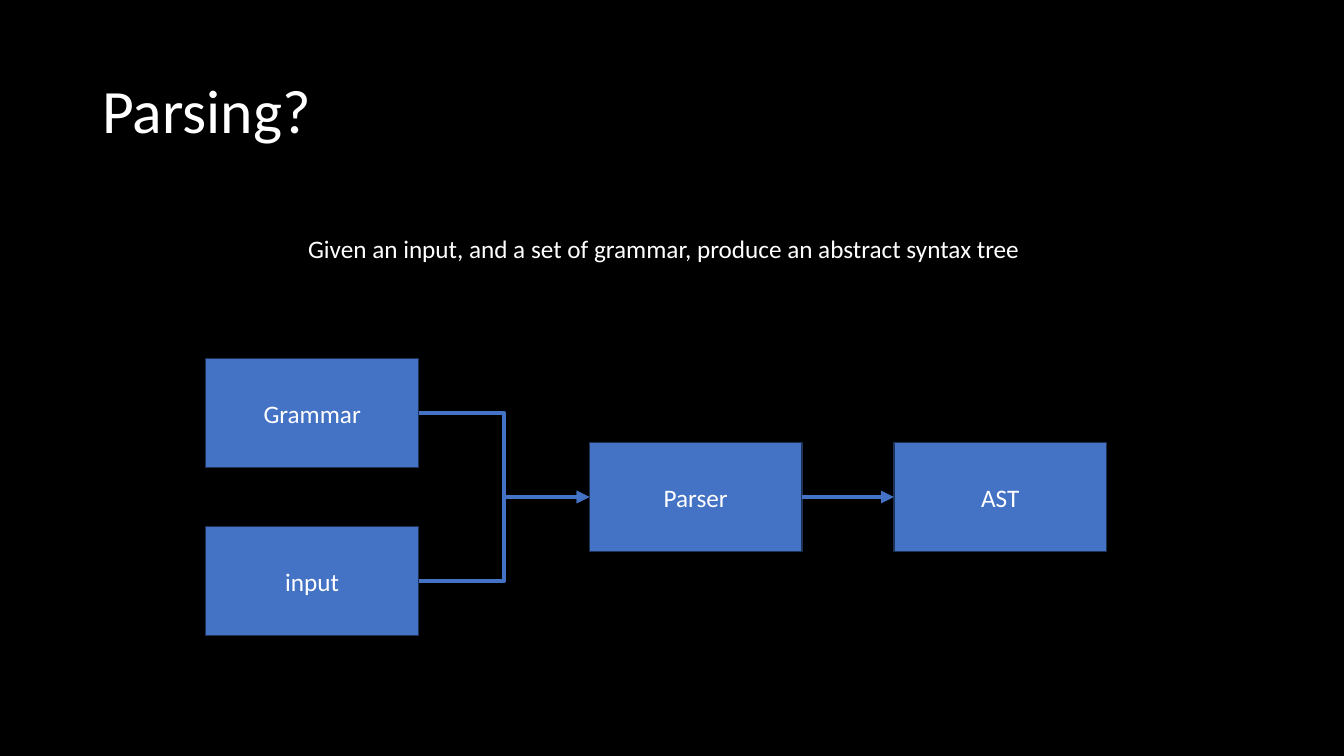
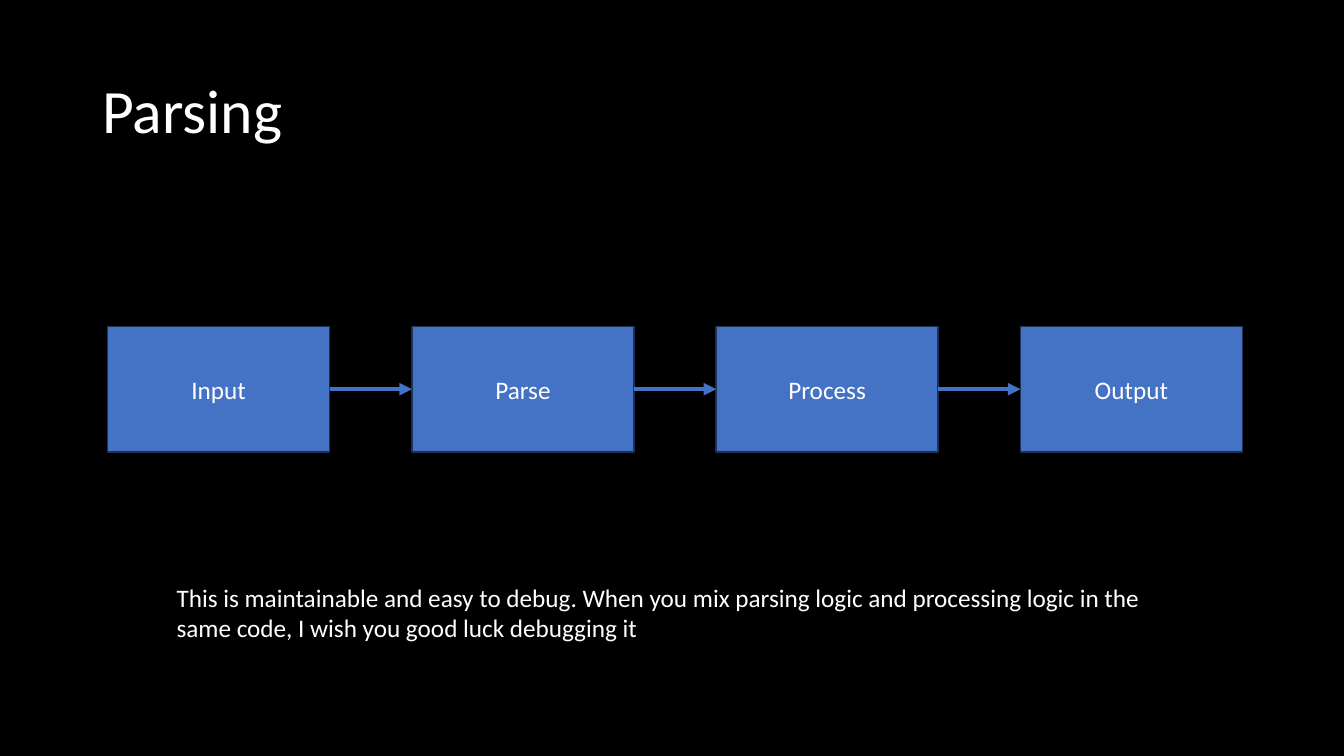
from itertools import pairwise

from pptx import Presentation
from pptx.dml.color import RGBColor
from pptx.enum.shapes import MSO_CONNECTOR as Link, MSO_SHAPE as Preset
from pptx.enum.text import MSO_ANCHOR as Anchor, PP_ALIGN as Align
from pptx.oxml.ns import qn
from pptx.util import Pt
from lxml.etree import SubElement


def color(hex_code):
    return RGBColor.from_string(hex_code)


class FlowDeck:
    """Holds the shared style and the current slide."""

    BACKGROUND = "000000"
    TEXT = "FFFFFF"
    FILL = "4472C4"
    OUTLINE = "1E3256"
    FONT = "Calibri"
    BODY_SIZE = 18
    TITLE_SIZE = 44
    RIGHT, LEFT = 3, 1  # connection sites of a rectangle

    def __init__(self):
        self.deck = Presentation()
        self.deck.slide_width, self.deck.slide_height = Pt(960), Pt(540)
        self.page = None

    def add_page(self, title):
        self.page = self.deck.slides.add_slide(self.deck.slide_layouts[6])
        background = self.page.background.fill
        background.solid()
        background.fore_color.rgb = color(self.BACKGROUND)
        para = self.text(title, 66, 29, 828, 104, self.TITLE_SIZE, Anchor.MIDDLE)
        para.line_spacing = 0.9

    def set_words(self, shape, words, size, anchor):
        frame = shape.text_frame
        frame.word_wrap = True
        frame.vertical_anchor = anchor
        para = frame.paragraphs[0]
        para.text = words
        para.font.name = self.FONT
        para.font.size = Pt(size)
        para.font.color.rgb = color(self.TEXT)
        return para

    def text(self, words, left, top, width, height, size=BODY_SIZE, anchor=Anchor.TOP):
        box = self.page.shapes.add_textbox(Pt(left), Pt(top), Pt(width), Pt(height))
        return self.set_words(box, words, size, anchor)

    def step(self, label, left, top, width, height):
        box = self.page.shapes.add_shape(
            Preset.RECTANGLE, Pt(left), Pt(top), Pt(width), Pt(height))
        box.shadow.inherit = False
        box.fill.solid()
        box.fill.fore_color.rgb = color(self.FILL)
        box.line.color.rgb = color(self.OUTLINE)
        box.line.width = Pt(1)
        para = self.set_words(box, label, self.BODY_SIZE, Anchor.MIDDLE)
        para.alignment = Align.CENTER
        return box

    def arrow(self, source, target, kind=Link.STRAIGHT):
        arrow = self.page.shapes.add_connector(kind, 0, 0, 0, 0)
        arrow.begin_connect(source, self.RIGHT)
        arrow.end_connect(target, self.LEFT)
        arrow.line.color.rgb = color(self.FILL)
        arrow.line.width = Pt(3)
        # Arrowhead, and no shadow
        properties = arrow.element.spPr
        SubElement(properties.find(qn("a:ln")), qn("a:tailEnd"), type="triangle")
        SubElement(properties, qn("a:effectLst"))


def add_definition(flow):
    flow.add_page("Parsing?")
    flow.text("Given an input, and a set of grammar, produce an abstract syntax tree",
              213, 163, 534, 29)

    # Two sources, with the parser and its result halfway between them
    width, height = 152, 78
    source_left, grammar_top, input_top = 147, 256, 376
    middle_top = (grammar_top + input_top) / 2
    grammar = flow.step("Grammar", source_left, grammar_top, width, height)
    source = flow.step("input", source_left, input_top, width, height)
    parser = flow.step("Parser", 421, middle_top, width, height)
    tree = flow.step("AST", 638.5, middle_top, width, height)

    for origin in (grammar, source):
        flow.arrow(origin, parser, Link.ELBOW)
    flow.arrow(parser, tree)


def add_pipeline(flow):
    flow.add_page("Parsing")

    # Evenly spaced steps, each joined to the next
    left, pitch = 77, 217.3
    labels = ("Input", "Parse", "Process", "Output")
    steps = [flow.step(label, left + index * pitch, 233, 158.5, 90)
             for index, label in enumerate(labels)]
    for before, after in pairwise(steps):
        flow.arrow(before, after)

    flow.text("This is maintainable and easy to debug. When you mix parsing logic and "
              "processing logic in the same code, I wish you good luck debugging it",
              119, 412.5, 721.5, 51)


def main():
    flow = FlowDeck()
    add_definition(flow)
    add_pipeline(flow)
    flow.deck.save("out.pptx")


if __name__ == "__main__":
    main()
